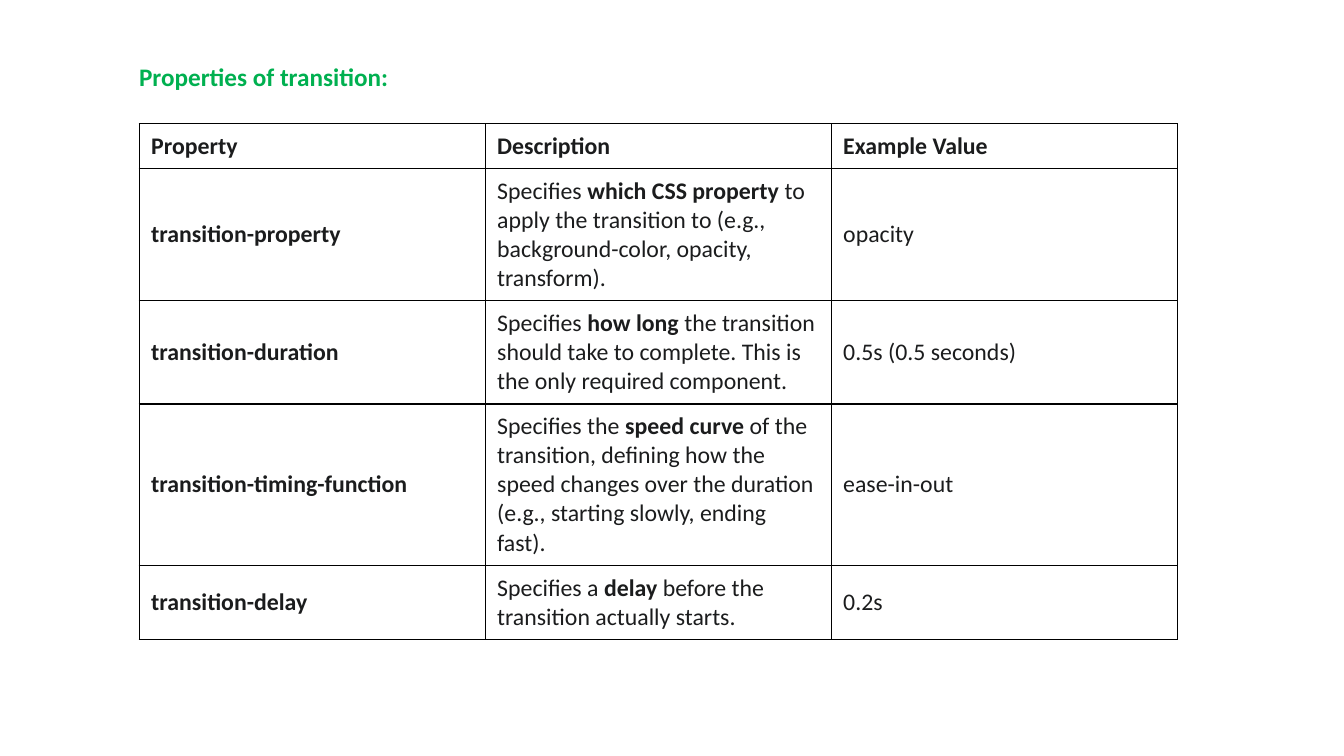
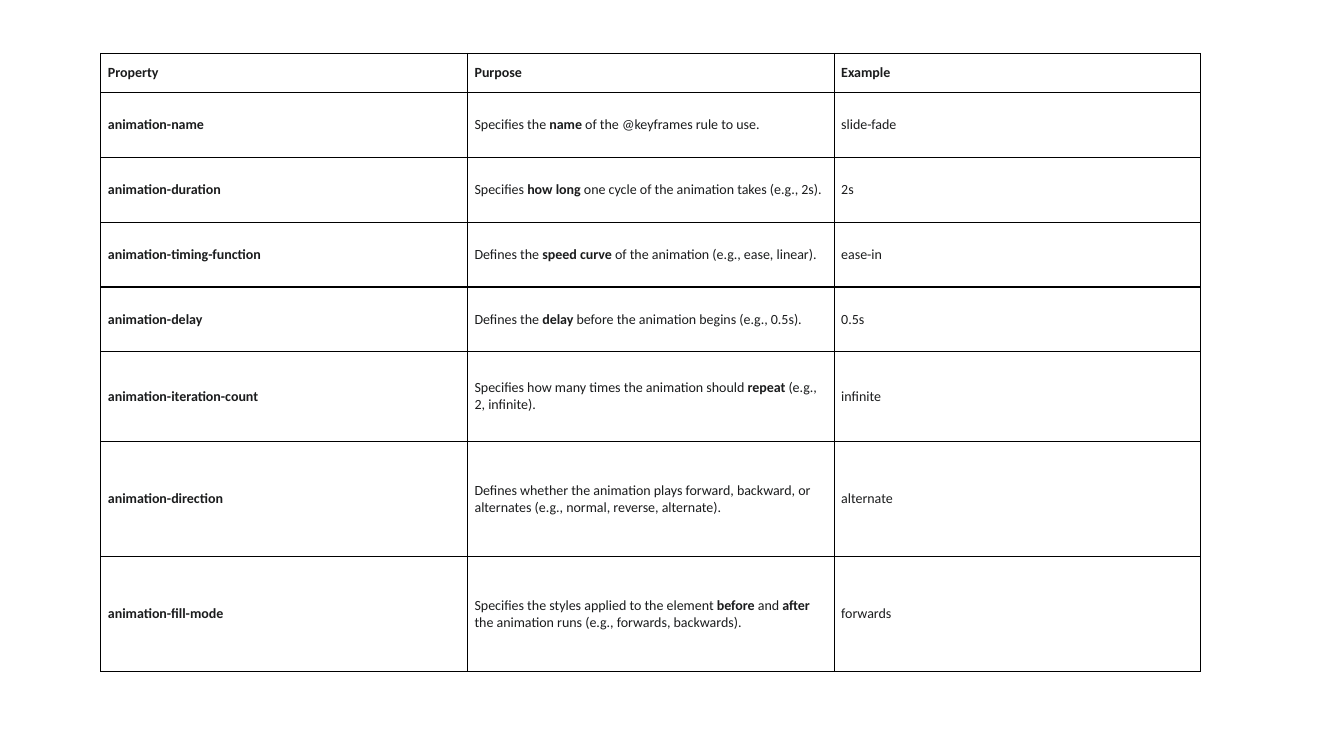
from dataclasses import dataclass

from lxml import etree
from pptx import Presentation
from pptx.dml.color import RGBColor
from pptx.enum import text
from pptx.oxml import ns
from pptx.util import Cm, Pt


@dataclass(frozen=True)
class Theme:
    font: str = "Calibri"
    heading: RGBColor = RGBColor(0x00, 0xB0, 0x50)
    body: RGBColor = RGBColor(0x1B, 0x1C, 0x1D)
    border: str = "000000"
    border_width: int = Pt(1)
    heading_size: int = Pt(18)
    large_size: int = Pt(17)
    small_size: int = Pt(10)


theme = Theme()


def style_font(font, size, color):
    font.name = theme.font
    font.size = size
    font.color.rgb = color


def add_property_table(slide, left, top, column_width, row_heights, rows, size, margin_x, margin_y):
    columns = len(rows[0])
    table = slide.shapes.add_table(
        len(rows), columns, left, top, column_width * columns, sum(row_heights)
    ).table
    table.first_row = False
    table.horz_banding = False
    for column in table.columns:
        column.width = column_width
    for row, height, entries in zip(table.rows, row_heights, rows):
        row.height = height
        for cell, entry in zip(row.cells, entries):
            cell.fill.background()
            cell.vertical_anchor = text.MSO_ANCHOR.MIDDLE
            cell.margin_left = cell.margin_right = margin_x
            cell.margin_top = cell.margin_bottom = margin_y
            paragraph = cell.text_frame.paragraphs[0]
            style_font(paragraph.font, size, theme.body)
            for position, piece in enumerate(entry.split("**")):
                if piece:
                    run = paragraph.add_run()
                    run.text = piece
                    run.font.bold = position % 2 == 1
            properties = cell._tc.get_or_add_tcPr()
            for order, side in enumerate(("lnL", "lnR", "lnT", "lnB")):
                line = etree.Element(ns.qn(f"a:{side}"), w=str(theme.border_width))
                fill = etree.SubElement(line, ns.qn("a:solidFill"))
                etree.SubElement(fill, ns.qn("a:srgbClr"), val=theme.border)
                properties.insert(order, line)


transition_rows = [
    ("**Property**", "**Description**", "**Example Value**"),
    (
        "**transition-property**",
        "Specifies **which CSS property** to apply the transition to "
        "(e.g., background-color, opacity, transform).",
        "opacity",
    ),
    (
        "**transition-duration**",
        "Specifies **how long** the transition should take to complete. "
        "This is the only required component.",
        "0.5s (0.5 seconds)",
    ),
    (
        "**transition-timing-function**",
        "Specifies the **speed curve** of the transition, defining how the speed "
        "changes over the duration (e.g., starting slowly, ending fast).",
        "ease-in-out",
    ),
    (
        "**transition-delay**",
        "Specifies a **delay** before the transition actually starts.",
        "0.2s",
    ),
]

animation_rows = [
    ("**Property**", "**Purpose**", "**Example**"),
    (
        "**animation-name**",
        "Specifies the **name** of the @keyframes rule to use.",
        "slide-fade",
    ),
    (
        "**animation-duration**",
        "Specifies **how long** one cycle of the animation takes (e.g., 2s).",
        "2s",
    ),
    (
        "**animation-timing-function**",
        "Defines the **speed curve** of the animation (e.g., ease, linear).",
        "ease-in",
    ),
    (
        "**animation-delay**",
        "Defines the **delay** before the animation begins (e.g., 0.5s).",
        "0.5s",
    ),
    (
        "**animation-iteration-count**",
        "Specifies how many times the animation should **repeat** (e.g., 2, infinite).",
        "infinite",
    ),
    (
        "**animation-direction**",
        "Defines whether the animation plays forward, backward, or alternates "
        "(e.g., normal, reverse, alternate).",
        "alternate",
    ),
    (
        "**animation-fill-mode**",
        "Specifies the styles applied to the element **before** and **after** "
        "the animation runs (e.g., forwards, backwards).",
        "forwards",
    ),
]

deck = Presentation()
deck.slide_width = Cm(33.87)
deck.slide_height = Cm(19.05)
title_only, blank = deck.slide_layouts[5], deck.slide_layouts[6]

transition_slide = deck.slides.add_slide(title_only)
heading = transition_slide.shapes.title
heading.left, heading.top, heading.width, heading.height = Cm(3.25), Cm(1.42), Cm(16.94), Cm(1.02)
heading.text_frame.text = "Properties of transition:"
heading.text_frame.vertical_anchor = text.MSO_ANCHOR.TOP
heading.text_frame.auto_size = text.MSO_AUTO_SIZE.SHAPE_TO_FIT_TEXT
heading_line = heading.text_frame.paragraphs[0]
heading_line.alignment = text.PP_ALIGN.LEFT
heading_line.font.bold = True
style_font(heading_line.font, theme.heading_size, theme.heading)

add_property_table(
    transition_slide, Cm(3.51), Cm(3.12), Cm(8.72),
    [Cm(height) for height in (1.13, 3.33, 2.6, 4.07, 1.86)],
    transition_rows, theme.large_size, Cm(0.3), Cm(0.2),
)

animation_slide = deck.slides.add_slide(blank)
add_property_table(
    animation_slide, Cm(2.54), Cm(1.35), Cm(9.24),
    [Cm(height) for height in (0.99, *[1.63] * 4, 2.26, 2.9, 2.9)],
    animation_rows, theme.small_size, Cm(0.18), Cm(0.13),
)

deck.save("out.pptx")
